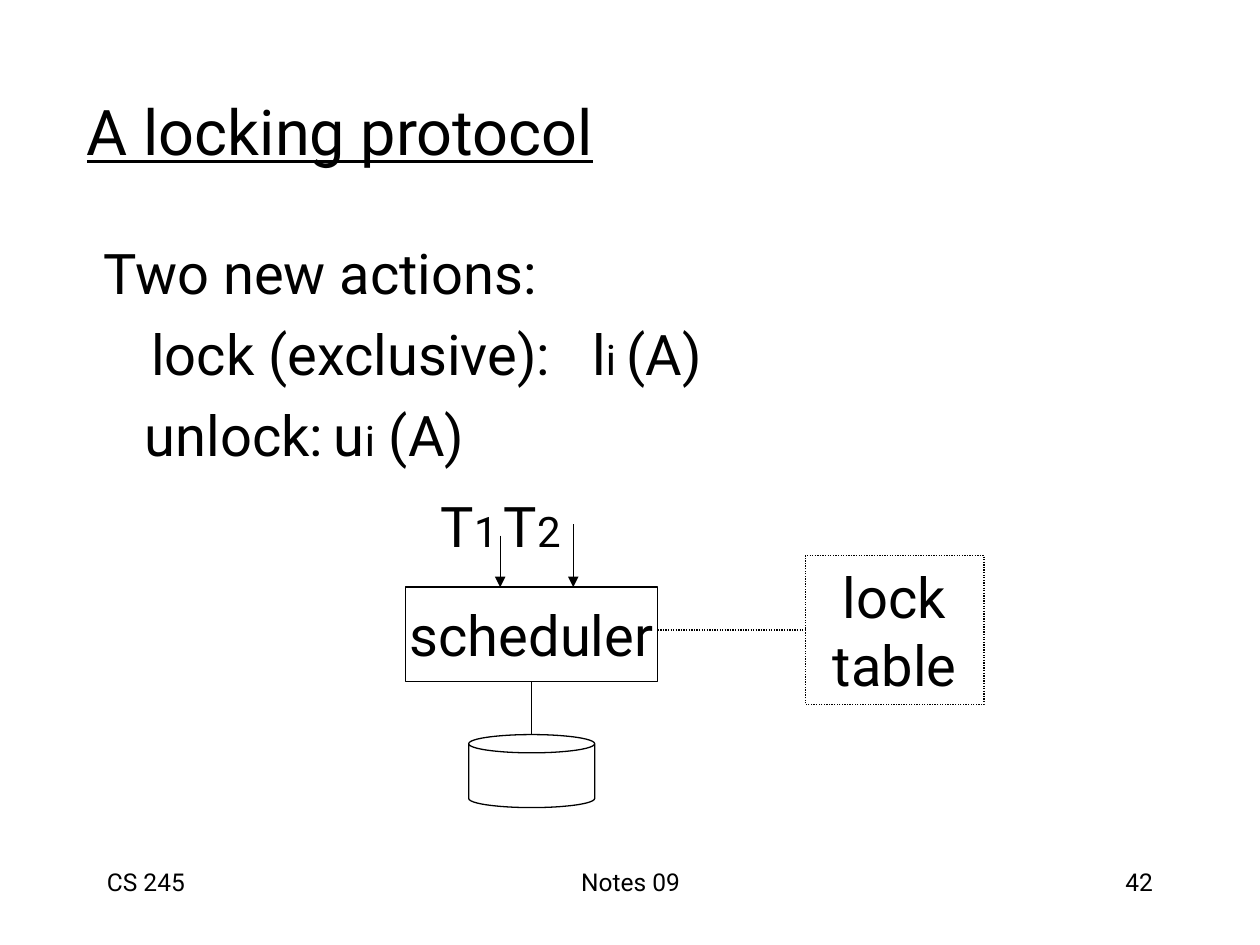
from dataclasses import dataclass
from typing import Optional

from lxml.etree import SubElement
from pptx import Presentation
from pptx.dml.color import RGBColor
from pptx.enum.dml import MSO_LINE
from pptx.enum.shapes import MSO_CONNECTOR, MSO_SHAPE
from pptx.enum.text import MSO_ANCHOR as Anchor, MSO_AUTO_SIZE, PP_ALIGN as Align
from pptx.oxml.ns import qn
from pptx.util import Pt

EMU_PER_PX = 9144  # 100 px to the inch


@dataclass(frozen=True)
class Theme:
    font: str = "Roboto"
    ink: RGBColor = RGBColor(0, 0, 0)
    paper: RGBColor = RGBColor(255, 255, 255)
    title: int = 36
    body: int = 32
    subscript: int = 24
    footer: int = 14
    line: float = 0.75


@dataclass(frozen=True)
class Box:
    left: int
    top: int
    width: int
    height: int

    def emu(self) -> tuple:
        return tuple(px(n) for n in (self.left, self.top, self.width, self.height))


@dataclass(frozen=True)
class Line:
    """One paragraph; each run is (text, size)."""
    runs: tuple
    margin: int = 0
    tab: Optional[int] = None
    space_before: int = 0


@dataclass(frozen=True)
class Footer:
    text: str
    box: Box
    align: Align


THEME = Theme()
BODY, SUB = THEME.body, THEME.subscript

FOOTERS = (
    Footer("CS 245", Box(75, 683, 208, 50), Align.LEFT),
    Footer("Notes 09", Box(342, 683, 317, 50), Align.CENTER),
    Footer("42", Box(717, 683, 208, 50), Align.RIGHT),
)
ACTIONS = (
    Line((("Two new actions:", BODY),)),
    Line((("lock (exclusive):\tl", BODY), ("i ", SUB), ("(A)", BODY)),
         margin=38, tab=400, space_before=8),
    Line((("unlock:\tu", BODY), ("i", SUB), (" (A)", BODY)),
         margin=33, tab=405, space_before=8),
)
TRANSACTIONS = Line((("T", BODY), ("1", SUB), ("\tT", BODY), ("2", SUB)), tab=99)


def px(length: int) -> int:
    return length * EMU_PER_PX


def plain(text: str, size: int) -> Line:
    return Line(((text, size),))


def write(shape, *lines: Line, align=Align.LEFT, anchor=Anchor.TOP,
          wrap: bool = True, underline: bool = False) -> None:
    frame = shape.text_frame
    frame.auto_size = MSO_AUTO_SIZE.NONE
    frame.word_wrap = wrap
    frame.vertical_anchor = anchor
    for index, line in enumerate(lines):
        paragraph = frame.paragraphs[0] if index == 0 else frame.add_paragraph()
        paragraph.alignment = align
        paragraph.space_before = Pt(line.space_before)
        properties = paragraph._p.get_or_add_pPr()
        properties.set("marL", str(px(line.margin)))
        properties.set("indent", "0")
        SubElement(properties, qn("a:buNone"))
        if line.tab is not None:
            tabs = SubElement(properties, qn("a:tabLst"))
            SubElement(tabs, qn("a:tab"), pos=str(px(line.tab)), algn="l")
        for text, size in line.runs:
            run = paragraph.add_run()
            run.text = text
            run.font.name = THEME.font
            run.font.size = Pt(size)
            run.font.color.rgb = THEME.ink
            run.font.underline = underline


def place(shape, box: Box):
    shape.left, shape.top, shape.width, shape.height = box.emu()
    return shape


def style_line(line, dotted: bool) -> None:
    line.color.rgb = THEME.ink
    line.width = Pt(THEME.line)
    if dotted:
        line.dash_style = MSO_LINE.ROUND_DOT


def add_node(slide, kind, box: Box, *labels: str, dotted: bool = False):
    """Draw an outlined diagram part with centred label lines."""
    shape = slide.shapes.add_shape(kind, *box.emu())
    shape.shadow.inherit = False
    shape.fill.solid()
    shape.fill.fore_color.rgb = THEME.paper
    style_line(shape.line, dotted)
    if labels:
        write(shape, *(plain(label, BODY) for label in labels),
              align=Align.CENTER, anchor=Anchor.MIDDLE, wrap=False)
    return shape


def add_link(slide, start: tuple, end: tuple, dotted: bool = False,
             arrow: bool = False):
    link = slide.shapes.add_connector(
        MSO_CONNECTOR.STRAIGHT, *(px(n) for n in start + end))
    style_line(link.line, dotted)
    if arrow:
        SubElement(link.line._get_or_add_ln(), qn("a:tailEnd"), type="triangle")
    SubElement(link._element.spPr, qn("a:effectLst"))
    return link


def add_text(slide, box: Box, line: Line, **text_format) -> None:
    write(slide.shapes.add_textbox(*box.emu()), line, **text_format)


def draw_diagram(slide) -> None:
    scheduler = add_node(slide, MSO_SHAPE.RECTANGLE, Box(322, 466, 200, 75),
                         "scheduler")
    add_node(slide, MSO_SHAPE.CAN, Box(372, 583, 100, 58))
    add_link(slide, (422, 541), (422, 583)).begin_connect(scheduler, 2)

    add_text(slide, Box(340, 385, 165, 64), TRANSACTIONS, anchor=Anchor.MIDDLE)
    for x, top in ((397, 425), (455, 416)):
        add_link(slide, (x, top), (x, 466), arrow=True)

    lock_table = add_node(slide, MSO_SHAPE.RECTANGLE, Box(639, 441, 142, 118),
                          "lock", "table", dotted=True)
    add_link(slide, (522, 500), (639, 500), dotted=True).end_connect(lock_table, 1)


def main() -> None:
    presentation = Presentation()
    presentation.slide_width, presentation.slide_height = px(1000), px(750)
    slide = presentation.slides.add_slide(presentation.slide_layouts[1])

    title = place(slide.shapes.title, Box(59, 41, 850, 125))
    write(title, plain("A locking protocol", THEME.title),
          anchor=Anchor.MIDDLE, underline=True)
    write(place(slide.placeholders[1], Box(72, 184, 850, 450)), *ACTIONS)
    draw_diagram(slide)
    for footer in FOOTERS:
        add_text(slide, footer.box, plain(footer.text, THEME.footer),
                 align=footer.align)
    presentation.save("out.pptx")


if __name__ == "__main__":
    main()
